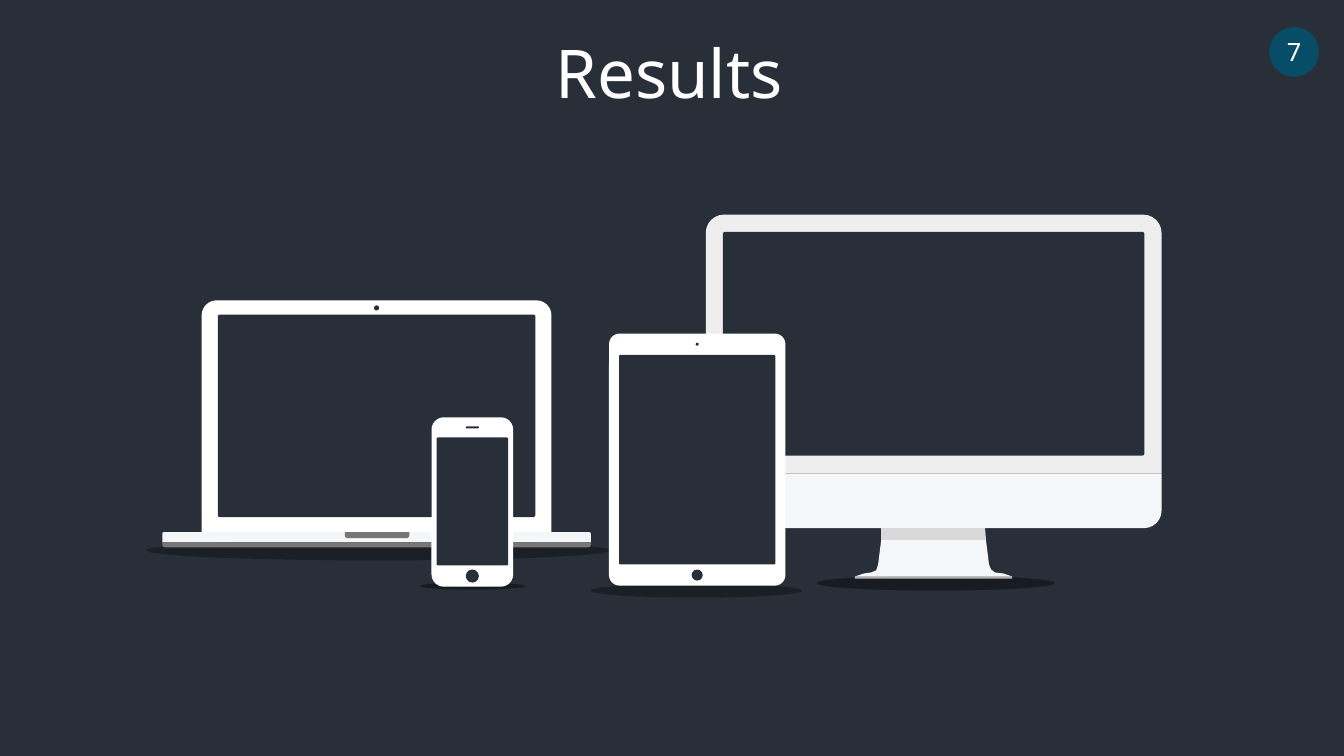
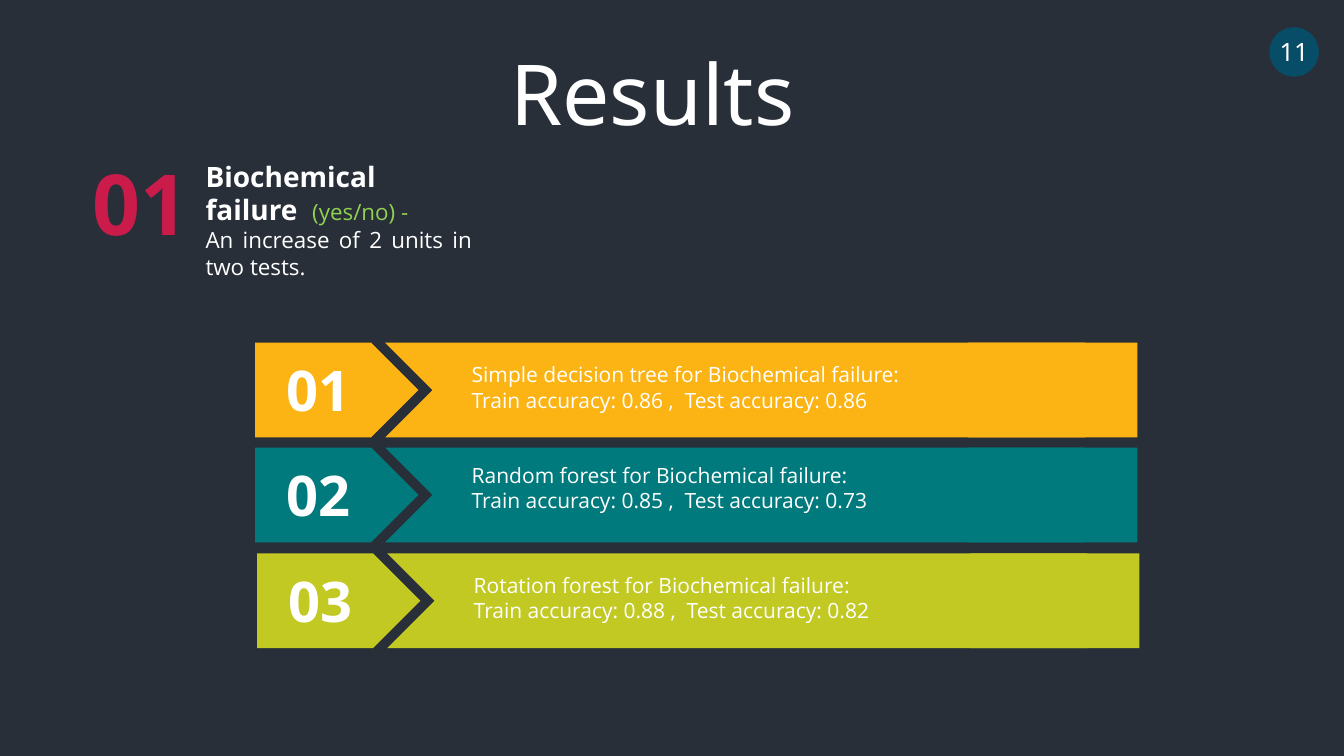
import pptx
import pptx.util
import pptx.dml.color
import pptx.enum.shapes
import pptx.enum.text
import pptx.oxml.ns
import lxml.etree

Inches = pptx.util.Inches
KIND = pptx.enum.shapes.MSO_SHAPE
ALIGN = pptx.enum.text.PP_ALIGN
ANCHOR = pptx.enum.text.MSO_ANCHOR
AUTO = pptx.enum.text.MSO_AUTO_SIZE

COLORS = {
    "night": "282F39", "badge": "074D67", "white": "FFFFFF", "black": "000000",
    "red": "CB1B4A", "green": "92D050", "amber": "FCB414", "teal": "007A7D",
    "lime": "C2C923", "pale": "F5F6F8", "frame": "EEEEEE", "neck": "D9D9D9",
    "edge": "B2B2B2", "gray": "777777",
}


def style_shape(shape, color, opacity=100, adjust=()):
    """Give a shape a plain fill, optionally see-through, without line or shadow."""
    shape.shadow.inherit = False
    shape.line.fill.background()
    shape.fill.solid()
    shape.fill.fore_color.rgb = pptx.dml.color.RGBColor.from_string(COLORS[color])
    for index, value in enumerate(adjust):
        shape.adjustments[index] = value
    if opacity < 100:
        tone = shape.fill._xPr.find(".//" + pptx.oxml.ns.qn("a:srgbClr"))
        alpha = lxml.etree.SubElement(tone, pptx.oxml.ns.qn("a:alpha"))
        alpha.set("val", str(opacity * 1000))
    return shape


def write_text(box, paragraphs, size, font="Open Sans", color="white", bold=False,
               align=ALIGN.CENTER, anchor=ANCHOR.TOP, wrap=True, auto=AUTO.SHAPE_TO_FIT_TEXT):
    """Write paragraphs, each a list of (text, changed format) spans."""
    frame = box.text_frame
    frame.word_wrap = wrap
    frame.auto_size = auto
    frame.vertical_anchor = anchor
    for index, spans in enumerate(paragraphs):
        para = frame.paragraphs[0] if index == 0 else frame.add_paragraph()
        para.alignment = align
        for text, changes in spans:
            look = {"size": size, "color": color, "bold": bold, **changes}
            span = para.add_run()
            span.text = text
            span.font.name = font
            span.font.size = pptx.util.Pt(look["size"])
            span.font.bold = look["bold"]
            span.font.color.rgb = pptx.dml.color.RGBColor.from_string(COLORS[look["color"]])


deck = pptx.Presentation()
deck.slide_width = Inches(13.33)
deck.slide_height = Inches(7.5)

# Background, title and page number of every slide
pages = []
for number, title_at, title_size in [
    ("7", (2.99, 0.26, 7.29, 0.91), 48),
    ("11", (2.73, 0.36, 7.48, 1.11), 60),
]:
    page = deck.slides.add_slide(deck.slide_layouts[6])
    page.background.fill.solid()
    page.background.fill.fore_color.rgb = pptx.dml.color.RGBColor.from_string(COLORS["night"])
    title = page.shapes.add_textbox(*map(Inches, title_at))
    write_text(title, [[("Results", {})]], title_size, font="Noto Sans")
    badge = page.shapes.add_shape(KIND.OVAL, *map(Inches, (12.59, 0.27, 0.49, 0.49)))
    style_shape(badge, "badge")
    write_text(badge, [[(number, {})]], 18, font="Noto Sans", anchor=ANCHOR.MIDDLE,
               wrap=False, auto=AUTO.NONE)
    pages.append(page)
devices_page, accuracy_page = pages

# Devices, from back to front: kind, place, colour, opacity, corner adjustments
TOP_ROUND = KIND.ROUND_2_SAME_RECTANGLE
laptop = [
    (KIND.OVAL, (1.45, 5.36, 4.6, 0.2), "black", 30, ()),
    (TOP_ROUND, (2, 2.98, 3.47, 2.3), "white", 100, (0.065, 0)),
    (KIND.ROUNDED_RECTANGLE, (2.16, 3.12, 3.15, 2.01), "night", 100, (0.01,)),
    (TOP_ROUND, (1.61, 5.28, 4.25, 0.1), "pale", 100, (0.15, 0)),
    (TOP_ROUND, (1.61, 5.38, 4.25, 0.05), "gray", 100, (0, 0.5)),
    (TOP_ROUND, (3.42, 5.28, 0.64, 0.06), "gray", 100, (0, 0.5)),
    (KIND.OVAL, (3.71, 3.03, 0.05, 0.05), "night", 100, ()),
]
phone = [
    (KIND.OVAL, (4.16, 5.78, 1.05, 0.07), "black", 40, ()),
    (KIND.ROUNDED_RECTANGLE, (4.28, 4.14, 0.81, 1.68), "white", 100, (0.15,)),
    (KIND.ROUNDED_RECTANGLE, (4.33, 4.34, 0.71, 1.27), "night", 100, (0.02,)),
    (KIND.ROUNDED_RECTANGLE, (4.62, 4.23, 0.13, 0.02), "night", 100, (0.5,)),
    (KIND.OVAL, (4.62, 5.65, 0.13, 0.13), "night", 100, ()),
]
monitor = [
    (KIND.OVAL, (8.1, 5.71, 2.36, 0.15), "black", 40, ()),
    (TOP_ROUND, (7, 4.7, 4.52, 0.54), "pale", 100, (0, 0.32)),
    (TOP_ROUND, (7, 2.13, 4.52, 2.57), "frame", 100, (0.07, 0)),
    (KIND.ROUNDED_RECTANGLE, (7.17, 2.3, 4.18, 2.22), "night", 100, (0.01,)),
    (KIND.RECTANGLE, (8.48, 5.72, 1.56, 0.02), "edge", 100, ()),
]
tablet = [
    (KIND.OVAL, (5.86, 5.79, 2.1, 0.14), "black", 30, ()),
    (KIND.ROUNDED_RECTANGLE, (6.04, 3.31, 1.75, 2.5), "white", 100, (0.06,)),
    (KIND.ROUNDED_RECTANGLE, (6.14, 3.52, 1.55, 2.08), "night", 100, (0.01,)),
    (KIND.OVAL, (6.86, 5.65, 0.11, 0.11), "night", 100, ()),
    (KIND.OVAL, (6.9, 3.4, 0.03, 0.03), "night", 100, ()),
]
for kind, place, color, opacity, adjust in laptop + phone + monitor + tablet:
    part = devices_page.shapes.add_shape(kind, *map(Inches, place))
    style_shape(part, color, opacity, adjust)

# Neck and foot of the monitor
neck = [(8.74, 5.24), (9.77, 5.24), (9.78, 5.36), (8.74, 5.36)]
foot = [(8.74, 5.36), (9.78, 5.36), (9.8, 5.52), (9.81, 5.6), (9.83, 5.65), (9.87, 5.68),
        (9.95, 5.69), (10.04, 5.72), (8.48, 5.72), (8.57, 5.69), (8.64, 5.68),
        (8.69, 5.66), (8.71, 5.6), (8.72, 5.52)]
for color, outline in [("neck", neck), ("pale", foot)]:
    points = [(Inches(x), Inches(y)) for x, y in outline]
    builder = devices_page.shapes.build_freeform(*points[0])
    builder.add_line_segments(points[1:], close=True)
    style_shape(builder.convert_to_shape(), color)

# Definition of the outcome
outcome_number = accuracy_page.shapes.add_textbox(*map(Inches, (0.64, 1.45, 1.5, 1.11)))
write_text(outcome_number, [[("01", {})]], 60, color="red", bold=True)
outcome = accuracy_page.shapes.add_textbox(*map(Inches, (1.94, 1.53, 2.84, 1.25)))
write_text(outcome, [
    [("Biochemical failure  ", {"size": 20, "bold": True}), ("(yes/no) -", {"color": "green"})],
    [("An increase of 2 units in two tests.", {})],
], 16, align=ALIGN.JUSTIFY)

# One banner for each model
models = [
    ("01", "Simple decision tree", "0.86", "0.86", "amber", 2.53, 3.4, 0.14),
    ("02", "Random forest", "0.85", "0.73", "teal", 2.53, 4.44, 0.1),
    ("03", "Rotation forest", "0.88", "0.82", "lime", 2.55, 5.49, 0.14),
]
for number, model, train, test, color, left, top, text_drop in models:
    for kind, offset, width in [
        (KIND.PENTAGON, 0, 1.62), (KIND.CHEVRON, 1.29, 7.41), (KIND.RECTANGLE, 7.07, 1.68),
    ]:
        band = accuracy_page.shapes.add_shape(
            kind, Inches(left + offset), Inches(top), Inches(width), Inches(0.94))
        style_shape(band, color)
    label = accuracy_page.shapes.add_textbox(
        Inches(left + 0.07), Inches(top + 0.08), Inches(1.11), Inches(0.77))
    write_text(label, [[(number, {})]], 40, bold=True)
    result = accuracy_page.shapes.add_textbox(
        Inches(left + 2.05), Inches(top + text_drop), Inches(5.08), Inches(0.61))
    write_text(result, [
        [(f"{model} for Biochemical failure:", {})],
        [(f"Train accuracy: {train} ,  Test accuracy: {test}", {})],
    ], 15, align=ALIGN.JUSTIFY)

deck.save("out.pptx")
